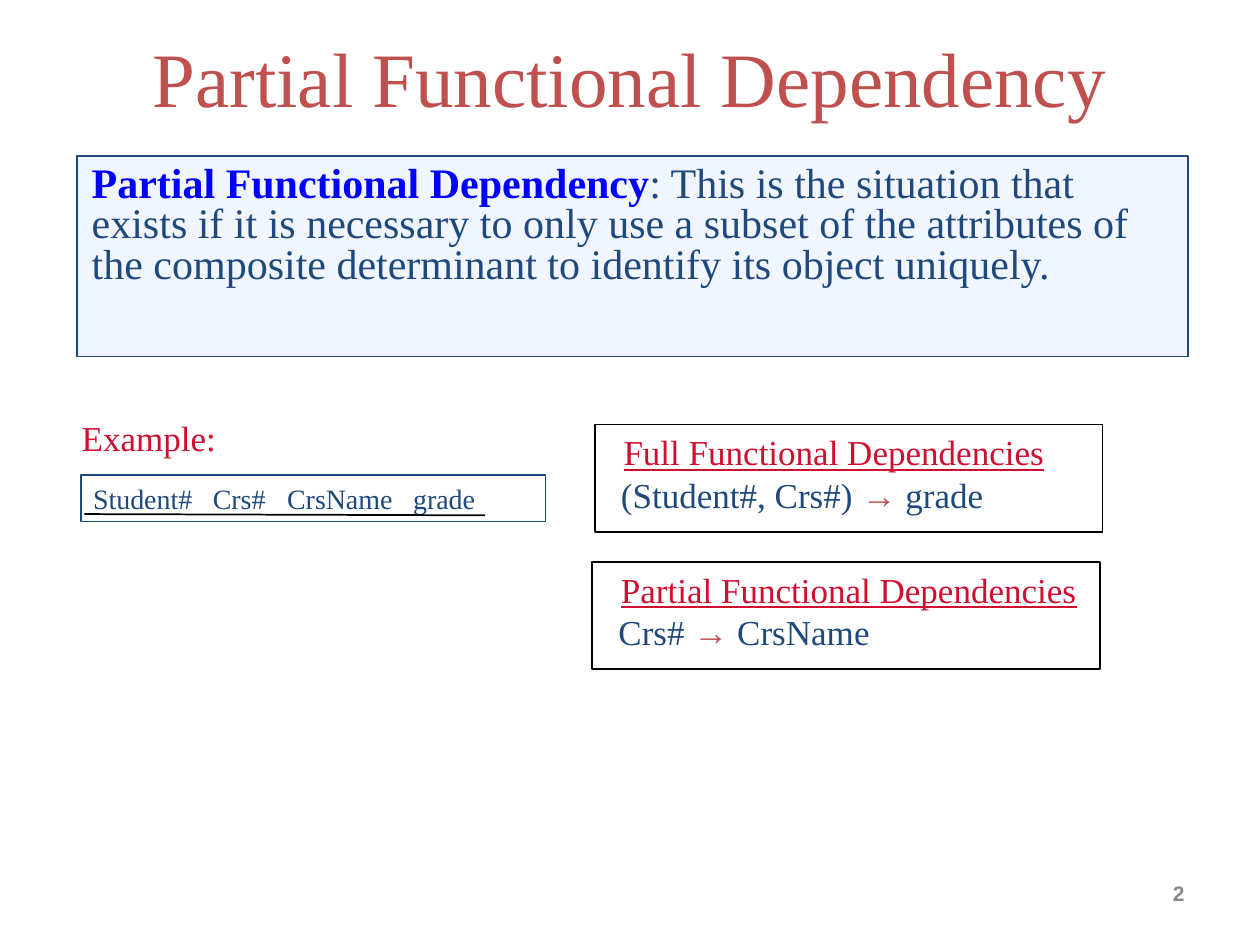
from lxml import etree
from pptx import Presentation, util as u
from pptx.dml.color import RGBColor
from pptx.enum import shapes, text
from pptx.oxml.ns import qn

W, H = 10, 7.5
SERIF, SANS = "Times New Roman", "Arial"
NAVY, RED, BRICK, BLACK, WHITE = "1F497D", "CF0E30", "C0504D", "000000", "FFFFFF"


def color(hex_value):
    return RGBColor.from_string(hex_value)


def add_run(p, words, size, hex_value, font=SERIF, bold=False, underline=False):
    r = p.add_run()
    r.text = words
    r.font.size, r.font.name = u.Pt(size), font
    r.font.bold, r.font.underline = bold, underline
    r.font.color.rgb = color(hex_value)


def add_panel(s, box, fill, line):
    sp = s.shapes.add_shape(shapes.MSO_SHAPE.RECTANGLE, *map(u.Inches, box))
    sp.shadow.inherit = False
    sp.fill.solid()
    sp.fill.fore_color.rgb = color(fill)
    sp.line.color.rgb = color(line)
    sp.line.width = u.Pt(1)
    return sp


def add_label(s, box):
    tf = s.shapes.add_textbox(*map(u.Inches, box)).text_frame
    tf.word_wrap = True
    return tf


def add_title(s, box, words):
    sp = s.shapes.title
    sp.left, sp.top, sp.width, sp.height = map(u.Inches, box)
    tf = sp.text_frame
    tf.vertical_anchor = text.MSO_ANCHOR.MIDDLE
    p = tf.paragraphs[0]
    p.alignment = text.PP_ALIGN.CENTER
    add_run(p, words, 44, BRICK)


def add_definition(s, box, term, meaning):
    x, y, w, h = box
    add_panel(s, box, "F0F5FE", NAVY)
    p = add_label(s, (x + 0.02, y + 0.03, w - 0.05, 1.17)).paragraphs[0]
    p.line_spacing, p.space_before = 0.8, u.Pt(6.5)
    add_run(p, term, 24, "0000FF", bold=True)
    add_run(p, meaning, 24, NAVY)


def add_relation(s, box, attributes, stops):
    """Heading, boxed attribute row and the line under the attributes."""
    x, y, w, h = box
    row_h = 0.37
    row_y = y + h - row_h
    tf = add_panel(s, (x, row_y, w, row_h), WHITE, NAVY).text_frame
    tf.vertical_anchor = text.MSO_ANCHOR.TOP
    p = tf.paragraphs[0]
    p.alignment = text.PP_ALIGN.LEFT
    tabs = etree.SubElement(p._p.get_or_add_pPr(), qn("a:tabLst"))
    for stop in stops:
        etree.SubElement(tabs, qn("a:tab"), pos=str(u.Inches(stop)), algn="l")
    add_run(p, "\t".join(attributes), 16, NAVY)

    ends = x + 0.03, row_y + 0.31, x + 3.21, row_y + 0.32
    line = s.shapes.add_connector(shapes.MSO_CONNECTOR.STRAIGHT, *map(u.Inches, ends))
    line.line.color.rgb = color(BLACK)
    line.line.width = u.Pt(1)
    etree.SubElement(line._element.spPr, qn("a:effectLst"))

    p = add_label(s, (x - 0.09, y, 1.32, 0.44)).paragraphs[0]
    add_run(p, "Example:", 20, RED)


def add_dependency(s, box, heading, left, right):
    """Framed heading with one dependency beneath it."""
    x, y, w, h = box
    add_panel(s, box, WHITE, BLACK)
    p = add_label(s, (x + 0.13, y, w - 0.15, 0.44)).paragraphs[0]
    add_run(p, heading, 20, RED, underline=True)
    p = add_label(s, (x + 0.11, y + 0.34, w - 0.67, 0.44)).paragraphs[0]
    add_run(p, left + " ", 20, NAVY)
    add_run(p, "→", 20, BRICK, SANS)
    add_run(p, " " + right, 20, NAVY)


def add_page_number(s, box, number):
    tf = add_label(s, box)
    tf.vertical_anchor = text.MSO_ANCHOR.MIDDLE
    p = tf.paragraphs[0]
    p.alignment = text.PP_ALIGN.RIGHT
    add_run(p, number, 12, "898989", SANS, bold=True)


def main():
    prs = Presentation()
    prs.slide_width, prs.slide_height = u.Inches(W), u.Inches(H)
    s = prs.slides.add_slide(prs.slide_layouts[5])

    # Title and definition
    add_title(s, (0, 0, W, 1.21), "Partial Functional Dependency")
    add_definition(
        s, (0.61, 1.24, 8.82, 1.59), "Partial Functional Dependency",
        ": This is the situation that exists if it is necessary to only use a subset "
        "of the attributes of the composite determinant to identify its object uniquely.")

    # Example relation and its dependencies
    add_relation(s, (0.64, 3.26, 3.69, 0.88),
                 ["Student#", "Crs#", "CrsName", "grade"], [0.95, 1.54, 2.54])
    add_dependency(s, (4.72, 3.37, 4.03, 0.85),
                   "Full Functional Dependencies", "(Student#, Crs#)", "grade")
    add_dependency(s, (4.7, 4.46, 4.03, 0.85),
                   "Partial Functional Dependencies", "Crs#", "CrsName")

    # Footer
    add_page_number(s, (7.17, 6.83, 2.33, 0.52), "2")
    prs.save("out.pptx")


if __name__ == "__main__":
    main()
